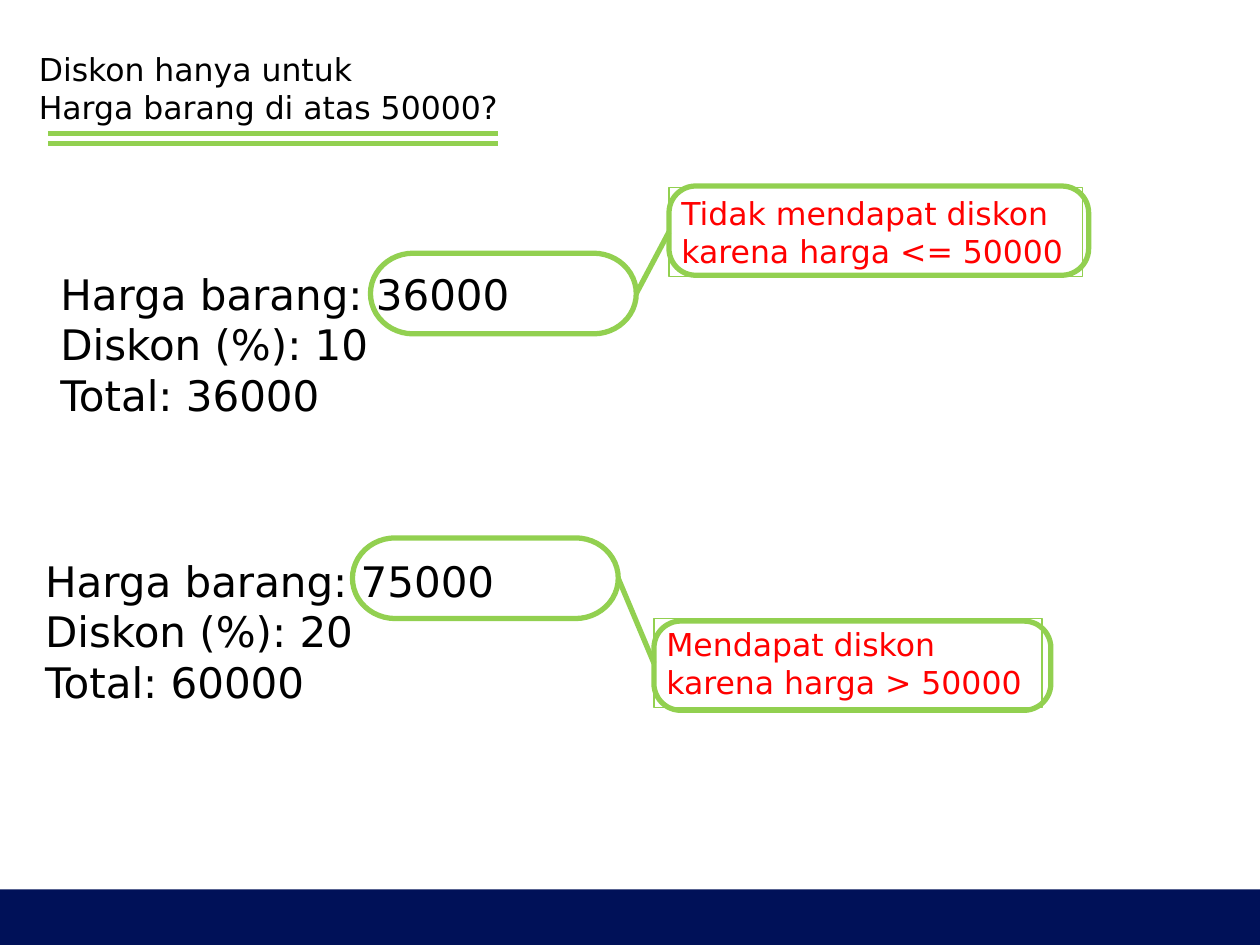
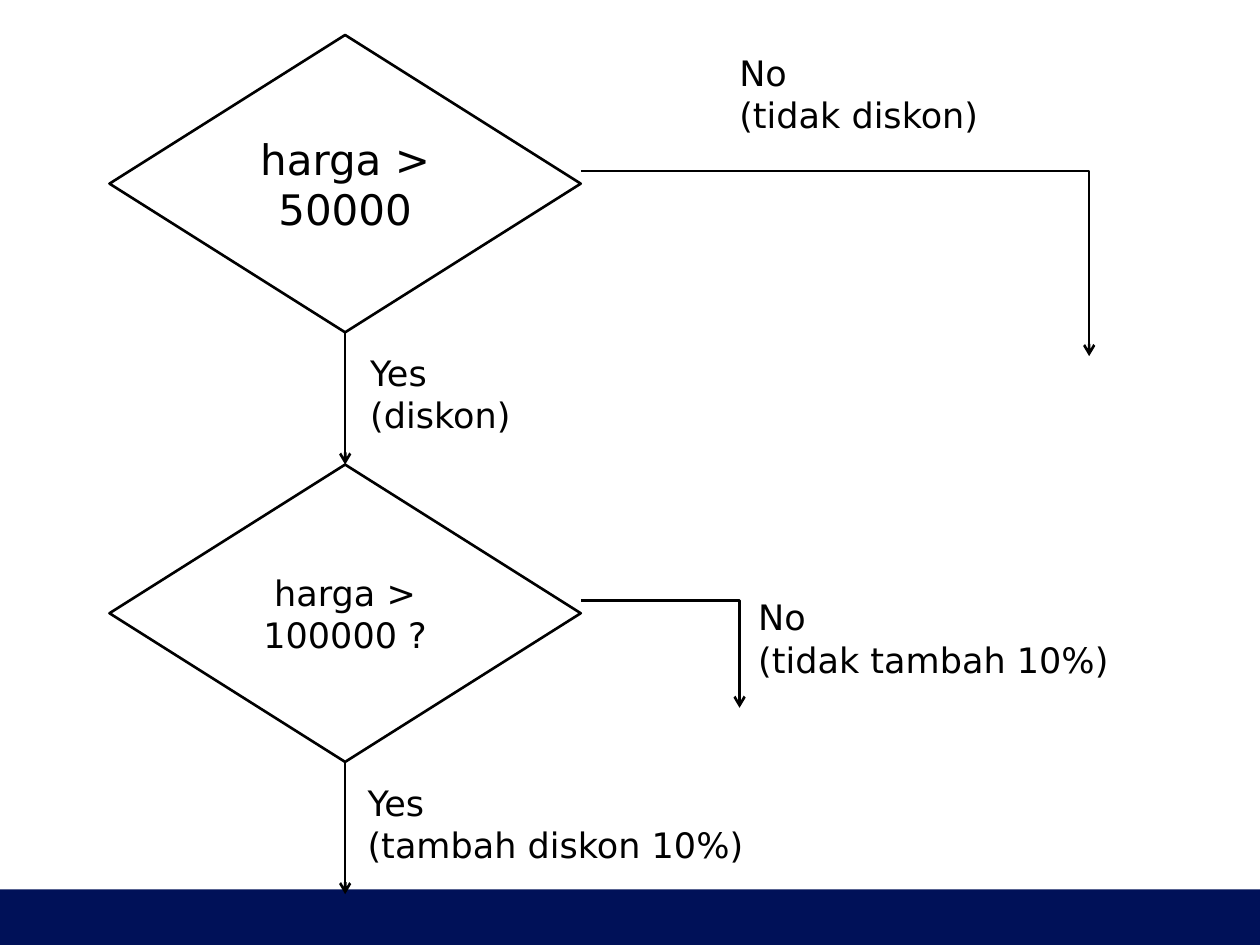
from lxml.etree import SubElement
from pptx import Presentation
from pptx.dml.color import RGBColor
from pptx.enum.shapes import MSO_CONNECTOR, MSO_SHAPE
from pptx.enum.text import MSO_ANCHOR, MSO_AUTO_SIZE, PP_ALIGN
from pptx.oxml.ns import qn
from pptx.util import Pt

COLORS = {"band": "001158", "accent": "92D050", "ink": "000000",
          "remark": "FF0000", "paper": "FFFFFF"}
FONT = "DejaVu Sans"
SLIDE_W, SLIDE_H = 720, 540
BAND_TOP = 508.2
FREE_TEXT = {"word_wrap": False, "auto_size": MSO_AUTO_SIZE.SHAPE_TO_FIT_TEXT}
CENTRED_TEXT = {"word_wrap": True, "vertical_anchor": MSO_ANCHOR.MIDDLE}


def rgb(name):
    return RGBColor.from_string(COLORS[name])


def write(shape, lines, size, color="ink", align=PP_ALIGN.LEFT, frame_format=FREE_TEXT):
    frame = shape.text_frame
    for attribute, value in frame_format.items():
        setattr(frame, attribute, value)
    frame.text = "\n".join(lines)
    for paragraph in frame.paragraphs:
        paragraph.alignment = align
        font_format = {"size": Pt(size), "name": FONT}
        for attribute, value in font_format.items():
            setattr(paragraph.font, attribute, value)
        paragraph.font.color.rgb = rgb(color)


def add_label(slide, box, lines, size):
    write(slide.shapes.add_textbox(*map(Pt, box)), lines, size)


def add_outline(slide, kind, box, line_color=None, line_width=0, fill=None):
    shape = slide.shapes.add_shape(kind, *map(Pt, box))
    shape.shadow.inherit = False
    if fill:
        shape.fill.solid()
        shape.fill.fore_color.rgb = rgb(fill)
    else:
        shape.fill.background()
    if line_color:
        shape.line.color.rgb = rgb(line_color)
        shape.line.width = Pt(line_width)
    else:
        shape.line.fill.background()
    return shape


def add_line(slide, start, end, color, width, arrow=False, elbow=False):
    kind = MSO_CONNECTOR.ELBOW if elbow else MSO_CONNECTOR.STRAIGHT
    line = slide.shapes.add_connector(kind, *map(Pt, (*start, *end)))
    line.line.color.rgb = rgb(color)
    line.line.width = Pt(width)
    properties = line.element.spPr
    if arrow:
        SubElement(properties.find(qn("a:ln")), qn("a:tailEnd"), type="arrow")
    if elbow:  # turn at the far end
        adjustments = properties.find(qn("a:prstGeom")).get_or_add_avLst()
        SubElement(adjustments, qn("a:gd"), name="adj1", fmla="val 100000")
    SubElement(properties, qn("a:effectLst"))


def new_slide(deck):
    slide = deck.slides.add_slide(deck.slide_layouts[6])
    # Footer band
    add_outline(slide, MSO_SHAPE.RECTANGLE,
                (0, BAND_TOP, SLIDE_W, SLIDE_H - BAND_TOP), fill="band")
    return slide


def add_question(slide, left, top, lines):
    add_label(slide, (left, top, 280.8, 51), lines, 18)
    # Double underline
    for drop in (51.2, 57):
        add_line(slide, (left + 12.2, top + drop), (left + 269.3, top + drop), "accent", 3)


def add_price_case(slide, left, top, lines, ring_at, remark_box, remark, frame_shift, frame_w):
    """Price example with its ringed price; the offsets count from (left, top)."""
    add_label(slide, (left, top, 277.2, 94.3), lines, 24)
    # Ring around the price
    ring_x, ring_y, ring_w, ring_h = left + ring_at[0], top + ring_at[1], 151.9, 46.1
    add_outline(slide, MSO_SHAPE.FLOWCHART_TERMINATOR,
                (ring_x, ring_y, ring_w, ring_h), "accent", 3)
    # Remark with its thin box, joined to the ring
    dx, dy, remark_w, remark_h = remark_box
    x, y = left + dx, top + dy
    add_line(slide, (ring_x + ring_w, ring_y + ring_h / 2), (x, y + remark_h / 2), "accent", 3)
    thin_box = add_outline(slide, MSO_SHAPE.RECTANGLE,
                           (x, y, remark_w, remark_h), "accent", 0.75)
    write(thin_box, remark, 18, "remark")
    # Rounded frame over the remark
    frame = add_outline(slide, MSO_SHAPE.ROUNDED_RECTANGLE,
                        (x, y + frame_shift, frame_w, remark_h), "accent", 3)
    frame.adjustments[0] = 0.3


def add_decision(slide, box, condition, size, yes_at, yes, no_at, no, no_run):
    """Diamond with a Yes arrow down and a No arrow right; label boxes count from its corner."""
    left, top, width, height = box
    diamond = add_outline(slide, MSO_SHAPE.FLOWCHART_DECISION, box, "ink", 1.5, "paper")
    write(diamond, [condition], size, align=PP_ALIGN.CENTER, frame_format=CENTRED_TEXT)
    # Yes branch
    middle, bottom = left + width / 2, top + height
    add_line(slide, (middle, bottom), (middle, bottom + 75.6), "ink", 1.5, arrow=True)
    # No branch
    right, branch_y = left + width, top + height / 2 - 7.2
    add_line(slide, (right, branch_y), (right + no_run[0], branch_y + no_run[1]),
             "ink", 1.5, arrow=True, elbow=True)
    for (dx, dy, label_w), lines in ((yes_at, ("Yes", yes)), (no_at, ("No", no))):
        add_label(slide, (left + dx, top + dy, label_w, 55.7), lines, 20)


def build_discount_examples(deck):
    slide = new_slide(deck)
    add_question(slide, 15.1, 25.2, ["Diskon hanya untuk", "Harga barang di atas 50000?"])
    add_price_case(slide, 27.4, 149.8,
                   ["Harga barang: 36000", "Diskon (%): 10", "Total: 36000"],
                   (184.3, -5.1), (354.9, -42.8, 236.2, 51),
                   ["Tidak mendapat diskon", "karena harga <= 50000"], -0.7, 239.8)
    add_price_case(slide, 18.7, 313.9,
                   ["Harga barang: 75000", "Diskon (%): 20", "Total: 60000"],
                   (182.7, -6.5), (355, 39.6, 221.8, 51),
                   ["Mendapat diskon", "karena harga > 50000"], 1.4, 226.8)


def build_decision_flow(deck):
    slide = new_slide(deck)
    left, top, width, height, step = 62.6, 20, 269.3, 169.9, 245.5
    add_decision(slide, (left, top, width, height), "harga > 50000", 24,
                 (141.9, 177.3, 98.6), "(diskon)",
                 (352.8, 6, 156.2), "(tidak diskon)", (290.5, 105.8))
    add_decision(slide, (left, top + step, width, height), "harga > 100000 ?", 20,
                 (140.4, 177.3, 237.6), "(tambah diskon 10%)",
                 (363.6, 71.5, 221.8), "(tidak tambah 10%)", (90.7, 61.2))


deck = Presentation()
deck.slide_width, deck.slide_height = Pt(SLIDE_W), Pt(SLIDE_H)
build_discount_examples(deck)
build_decision_flow(deck)
deck.save("out.pptx")
